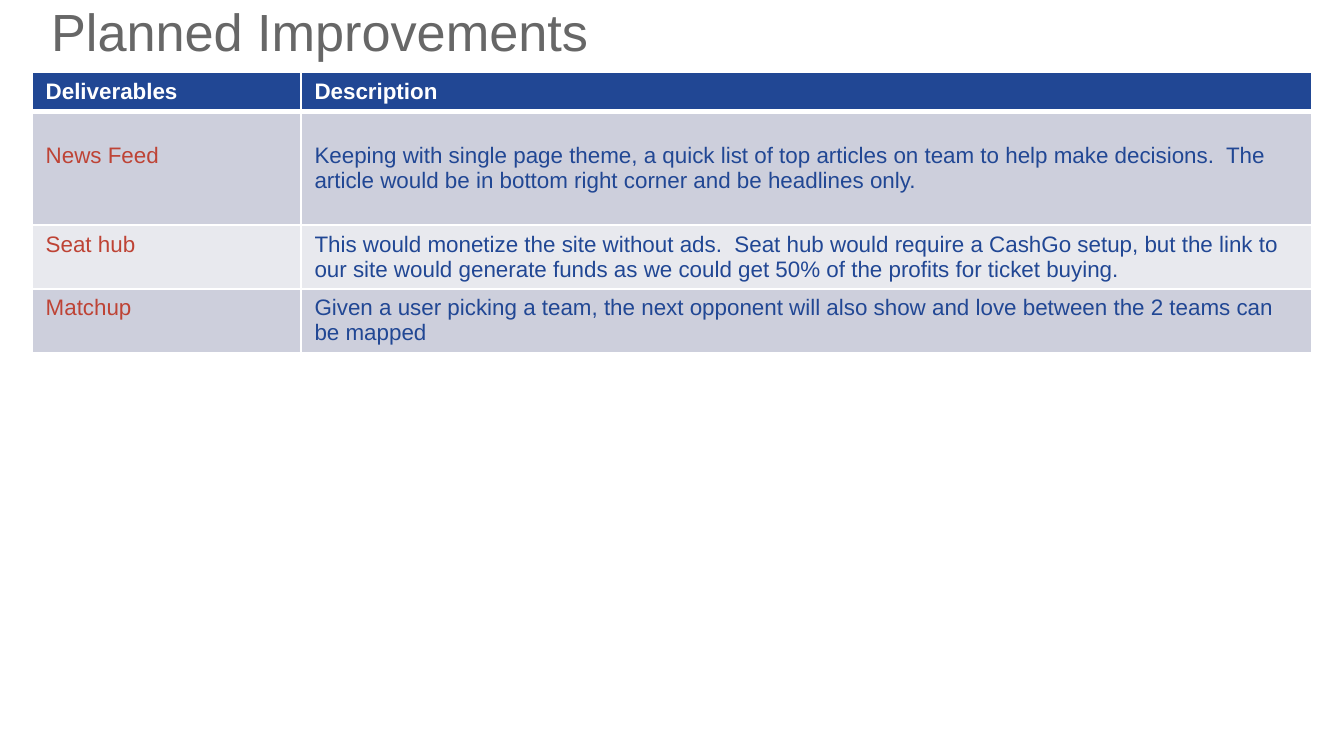
import pptx
import pptx.dml.color
import pptx.enum.text
import pptx.oxml.ns
import pptx.util
from lxml import etree

Pt = pptx.util.Pt
RGBColor = pptx.dml.color.RGBColor
ANCHOR = pptx.enum.text.MSO_ANCHOR
ALIGN = pptx.enum.text.PP_ALIGN

GREY = RGBColor(0x67, 0x67, 0x67)
WHITE = RGBColor(0xFF, 0xFF, 0xFF)
BLUE = RGBColor(0x21, 0x47, 0x94)
RED = RGBColor(0xBE, 0x43, 0x35)
BAND_DARK = RGBColor(0xCD, 0xCF, 0xDC)
BAND_LIGHT = RGBColor(0xE8, 0xE9, 0xEE)

COLUMN_WIDTHS = [144, 541.4]
ROW_HEIGHTS = [20, 61, 34.2, 34]
ROWS = [
    ("Deliverables", "Description"),
    ("News Feed", "Keeping with single page theme, a quick list of top articles on team "
     "to help make decisions.  The article would be in bottom right corner and be "
     "headlines only."),
    ("Seat hub", "This would monetize the site without ads.  Seat hub would require a "
     "CashGo setup, but the link to our site would generate funds as we could get 50% "
     "of the profits for ticket buying."),
    ("Matchup", "Given a user picking a team, the next opponent will also show and love "
     "between the 2 teams can be mapped"),
]


def format_text(paragraph, size, color, bold=False):
    """Apply the slide font to a paragraph's runs."""
    for run in paragraph.runs:
        for name, value in {"name": "Arial", "size": Pt(size), "bold": bold}.items():
            setattr(run.font, name, value)
        run.font.color.rgb = color


def add_borders(cell, bottom_width):
    """Give a cell white borders, with its own width at the bottom."""
    properties = cell._tc.get_or_add_tcPr()
    for side, width in {"L": 1, "R": 1, "T": 1, "B": bottom_width}.items():
        line = etree.SubElement(properties, pptx.oxml.ns.qn("a:ln" + side), w=str(Pt(width)))
        fill = etree.SubElement(line, pptx.oxml.ns.qn("a:solidFill"))
        etree.SubElement(fill, pptx.oxml.ns.qn("a:srgbClr"), val=str(WHITE))


presentation = pptx.Presentation()
presentation.slide_width = Pt(720)
presentation.slide_height = Pt(405)
slide = presentation.slides.add_slide(presentation.slide_layouts[5])

title = slide.shapes.title
for name, value in {"left": 20.2, "top": 1.4, "width": 679.6, "height": 36.7}.items():
    setattr(title, name, Pt(value))
title.text_frame.text = "Planned Improvements"
title.text_frame.auto_size = pptx.enum.text.MSO_AUTO_SIZE.NONE
title.text_frame.vertical_anchor = ANCHOR.MIDDLE
title_paragraph = title.text_frame.paragraphs[0]
title_paragraph.alignment = ALIGN.LEFT
title_paragraph.line_spacing = 0.8
format_text(title_paragraph, 28, GREY)

table = slide.shapes.add_table(
    len(ROWS), len(COLUMN_WIDTHS), Pt(17.3), Pt(38.9),
    Pt(sum(COLUMN_WIDTHS)), Pt(sum(ROW_HEIGHTS))).table
for column, width in zip(table.columns, COLUMN_WIDTHS):
    column.width = Pt(width)

for row_index, (texts, height) in enumerate(zip(ROWS, ROW_HEIGHTS)):
    table.rows[row_index].height = Pt(height)
    is_header = row_index == 0
    band = BLUE if is_header else (BAND_LIGHT, BAND_DARK)[row_index % 2]
    colors = (WHITE, WHITE) if is_header else (RED, BLUE)
    for column_index, (text, color) in enumerate(zip(texts, colors)):
        cell = table.cell(row_index, column_index)
        add_borders(cell, 3 if is_header else 1)
        cell.fill.solid()
        cell.fill.fore_color.rgb = band
        cell.text = text
        # The tall news row starts its text one line lower.
        cell.margin_top = Pt(17 if row_index == 1 else 3.6)
        format_text(cell.text_frame.paragraphs[0], 12, color, is_header)

presentation.save("out.pptx")
